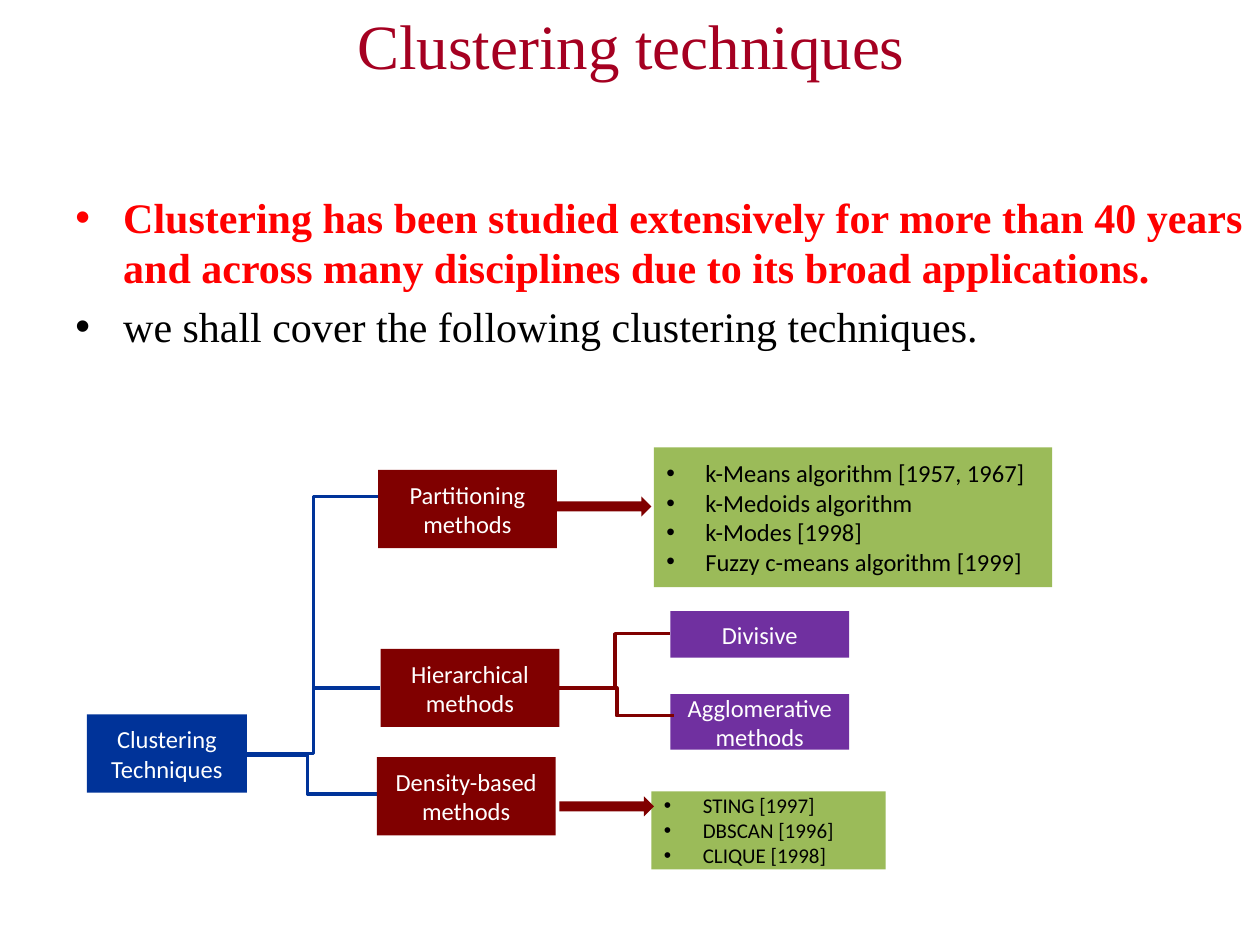
from lxml import etree
from pptx import Presentation
from pptx.dml.color import RGBColor
from pptx.enum.shapes import MSO_CONNECTOR, MSO_SHAPE
from pptx.enum.text import MSO_ANCHOR, PP_ALIGN
from pptx.oxml.ns import qn
from pptx.util import Inches, Pt

RECTANGLE, RIGHT_ARROW = MSO_SHAPE.RECTANGLE, MSO_SHAPE.RIGHT_ARROW
STRAIGHT, ELBOW = MSO_CONNECTOR.STRAIGHT, MSO_CONNECTOR.ELBOW
LEFT, CENTER = PP_ALIGN.LEFT, PP_ALIGN.CENTER
TOP, MIDDLE = MSO_ANCHOR.TOP, MSO_ANCHOR.MIDDLE

BLUE, MAROON, GREEN, PURPLE = "003399", "800000", "9BBB59", "7030A0"
WHITE, BLACK, RED, CRIMSON = "FFFFFF", "000000", "FF0000", "A50021"
SERIF, SANS = "Times New Roman", "Calibri"
METHOD_SIZE = (1.42, 0.62)


def color(value):
    """Turn a hex string into a colour."""
    return RGBColor.from_string(value)


def place(shape, left, top, width, height):
    """Set the position and size of a shape in inches."""
    shape.left, shape.top = Inches(left), Inches(top)
    shape.width, shape.height = Inches(width), Inches(height)


def add_bullet(para, indent):
    """Give a paragraph a round bullet with a hanging indent."""
    properties = para._p.get_or_add_pPr()
    properties.set("marL", str(Inches(indent)))
    properties.set("indent", str(-Inches(indent)))
    font = etree.SubElement(properties, qn("a:buFont"))
    font.set("typeface", "Arial")
    etree.SubElement(properties, qn("a:buChar")).set("char", "•")


def write(para, text, size=14, font=SANS, fill=WHITE, bold=False,
          align=CENTER, before=0, indent=0):
    """Write formatted text into a paragraph."""
    para.alignment = align
    para.space_before = Pt(before)
    if indent:
        add_bullet(para, indent)
    span = para.add_run()
    span.text = text
    span.font.size, span.font.name, span.font.bold = Pt(size), font, bold
    span.font.color.rgb = color(fill)


def write_lines(frame, lines, anchor=MIDDLE, **style):
    """Write one paragraph for each line of text."""
    frame.word_wrap = True
    frame.vertical_anchor = anchor
    for index, line in enumerate(lines):
        para = frame.add_paragraph() if index else frame.paragraphs[0]
        write(para, line, **style)


def add_filled(slide, kind, left, top, width, height, fill):
    """Add a plain filled shape."""
    box = slide.shapes.add_shape(kind, Inches(left), Inches(top),
                                 Inches(width), Inches(height))
    box.shadow.inherit = False
    box.fill.solid()
    box.fill.fore_color.rgb = color(fill)
    box.line.fill.background()
    return box


def add_node(slide, text, left, top, width, height, fill):
    """Add a tree node with a centred label."""
    box = add_filled(slide, RECTANGLE, left, top, width, height, fill)
    write_lines(box.text_frame, [text])


def add_list(slide, lines, left, top, width, height, size):
    """Add a green box with a bulleted list of algorithms."""
    box = add_filled(slide, RECTANGLE, left, top, width, height, GREEN)
    write_lines(box.text_frame, lines, size=size, fill=BLACK, align=LEFT,
                indent=0.31)


def add_branch(slide, kind, start, end, line, bend=None):
    """Add a tree branch, with the bend as a fraction of its width."""
    branch = slide.shapes.add_connector(
        kind, *(Inches(value) for value in start + end))
    branch.line.color.rgb = color(line)
    branch.line.width = Pt(2)
    properties = branch._element.spPr
    etree.SubElement(properties, qn("a:effectLst"))
    if bend:
        guides = properties.find(qn("a:prstGeom")).get_or_add_avLst()
        guide = etree.SubElement(guides, qn("a:gd"))
        guide.set("name", "adj1")
        guide.set("fmla", f"val {round(bend * 100000)}")


def add_heading(slide):
    """Fill the title and add the two introductory points."""
    title = slide.shapes.title
    place(title, 0.51, -0.27, 9, 1.25)
    write_lines(title.text_frame, ["Clustering techniques"], size=36,
                font=SERIF, fill=CRIMSON)
    box = slide.shapes.add_textbox(Inches(0.5), Inches(1.47),
                                   Inches(9.5), Inches(4.95))
    style = dict(size=24, font=SERIF, align=LEFT, before=4.8, indent=0.38)
    write_lines(box.text_frame, [
        "Clustering has been studied extensively for more than 40 years "
        "and across many disciplines due to its broad applications."],
        anchor=TOP, fill=RED, bold=True, **style)
    write(box.text_frame.add_paragraph(),
          "we shall cover the following clustering techniques.",
          fill=BLACK, **style)


def add_tree(slide):
    """Draw the tree of clustering techniques."""
    add_node(slide, "Clustering Techniques", 0.69, 5.67, 1.27, 0.62, BLUE)
    add_node(slide, "Hierarchical methods", 3.02, 5.15, *METHOD_SIZE, MAROON)
    add_node(slide, "Divisive", 5.32, 4.85, 1.42, 0.37, PURPLE)
    add_node(slide, "Agglomerative methods", 5.32, 5.51, 1.42, 0.44, PURPLE)
    add_list(slide, ["k-Means algorithm [1957, 1967]", "k-Medoids algorithm",
                     "k-Modes [1998]", "Fuzzy c-means algorithm [1999]"],
             5.19, 3.55, 3.16, 1.11, 14)
    add_list(slide, ["STING [1997]", "DBSCAN [1996]", "CLIQUE [1998]"],
             5.17, 6.28, 1.86, 0.62, 12)

    add_branch(slide, ELBOW, (1.96, 5.98), (3.02, 3.94), BLUE)
    add_branch(slide, STRAIGHT, (2.48, 5.46), (3.02, 5.46), BLUE)
    add_branch(slide, ELBOW, (1.96, 5.99), (2.46, 6.3), BLUE, bend=0.96)
    add_branch(slide, STRAIGHT, (2.46, 6.3), (2.99, 6.3), BLUE)
    add_branch(slide, ELBOW, (4.44, 5.46), (5.32, 5.03), MAROON)
    add_branch(slide, ELBOW, (4.44, 5.46), (5.35, 5.68), MAROON)

    for left, top in ((4.42, 3.94), (4.44, 6.32)):
        add_filled(slide, RIGHT_ARROW, left, top, 0.75, 0.16, MAROON)
    add_node(slide, "Partitioning methods", 3, 3.73, *METHOD_SIZE, MAROON)
    add_node(slide, "Density-based methods", 2.99, 6.01, *METHOD_SIZE, MAROON)


def main():
    """Build the slide and save the deck."""
    deck = Presentation()
    deck.slide_width, deck.slide_height = Inches(10), Inches(7.5)
    slide = deck.slides.add_slide(deck.slide_layouts[5])
    add_heading(slide)
    add_tree(slide)
    deck.save("out.pptx")


if __name__ == "__main__":
    main()
